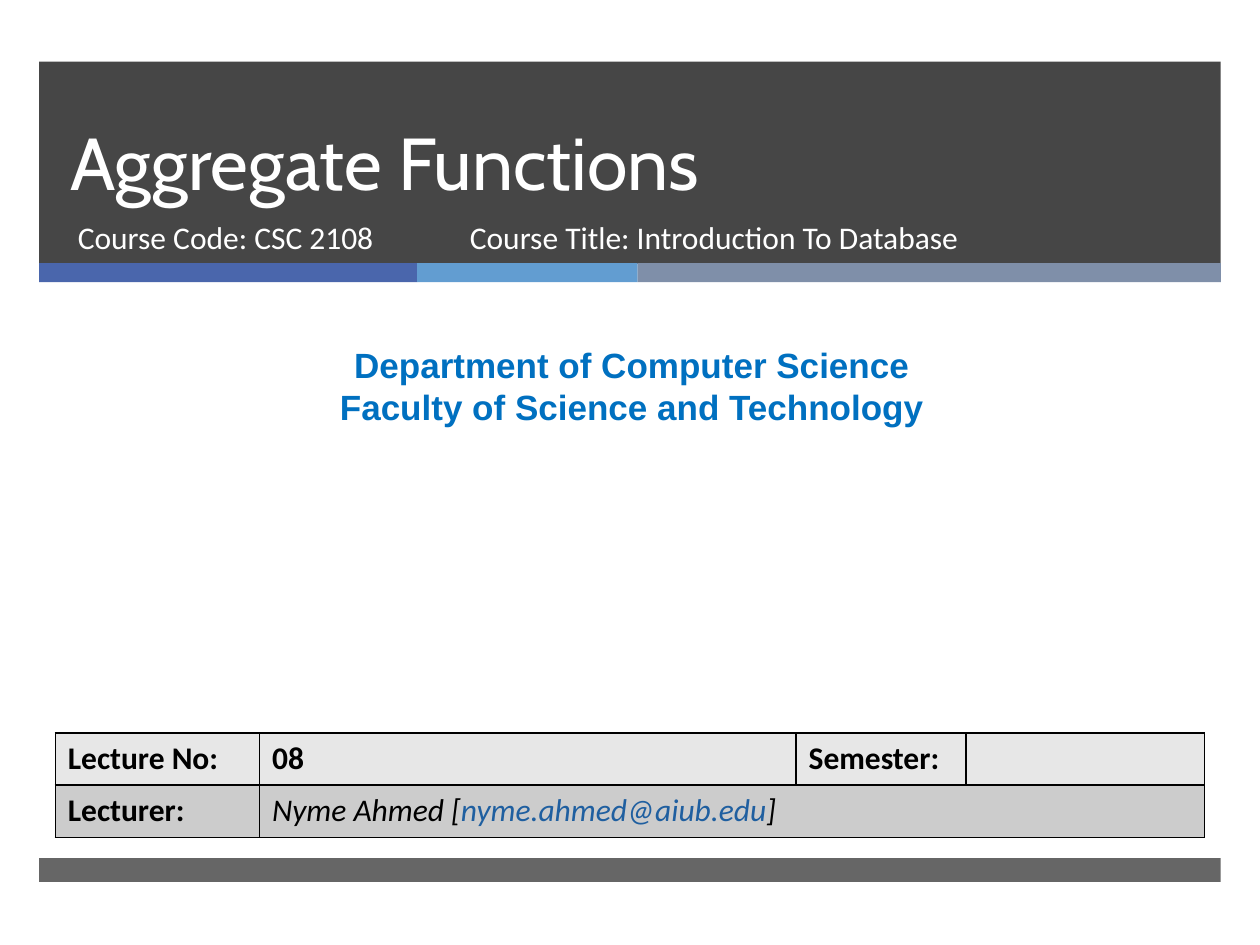
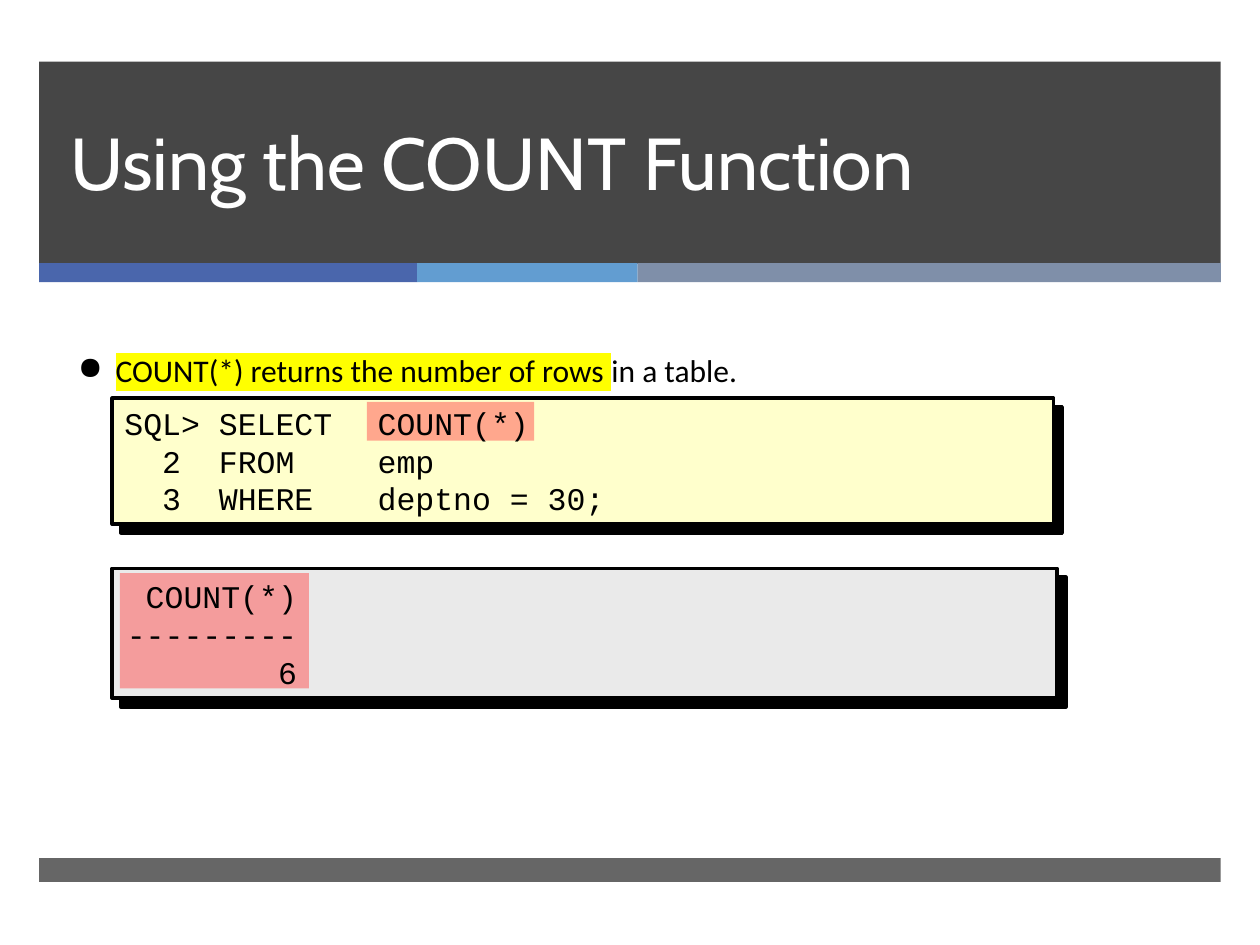
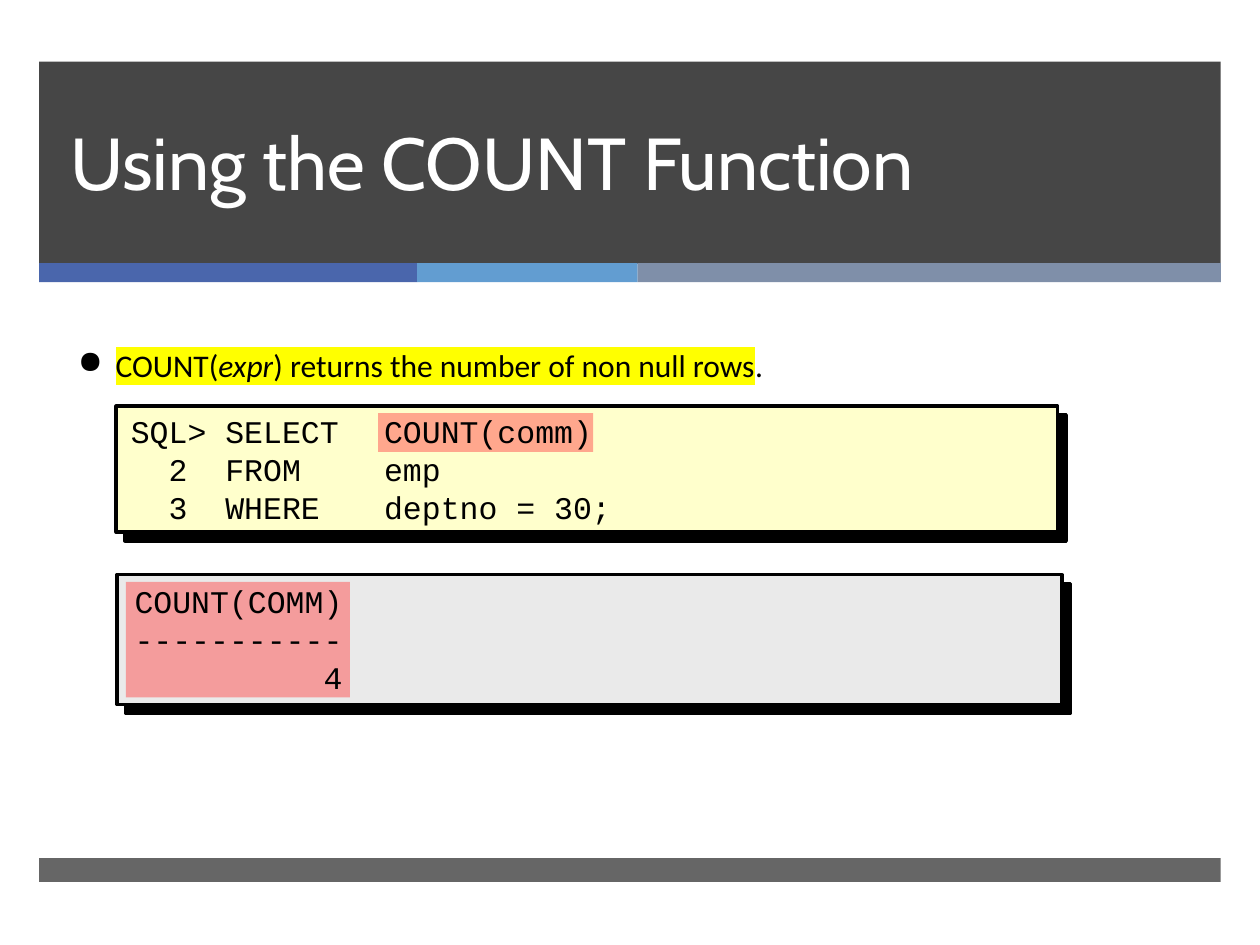
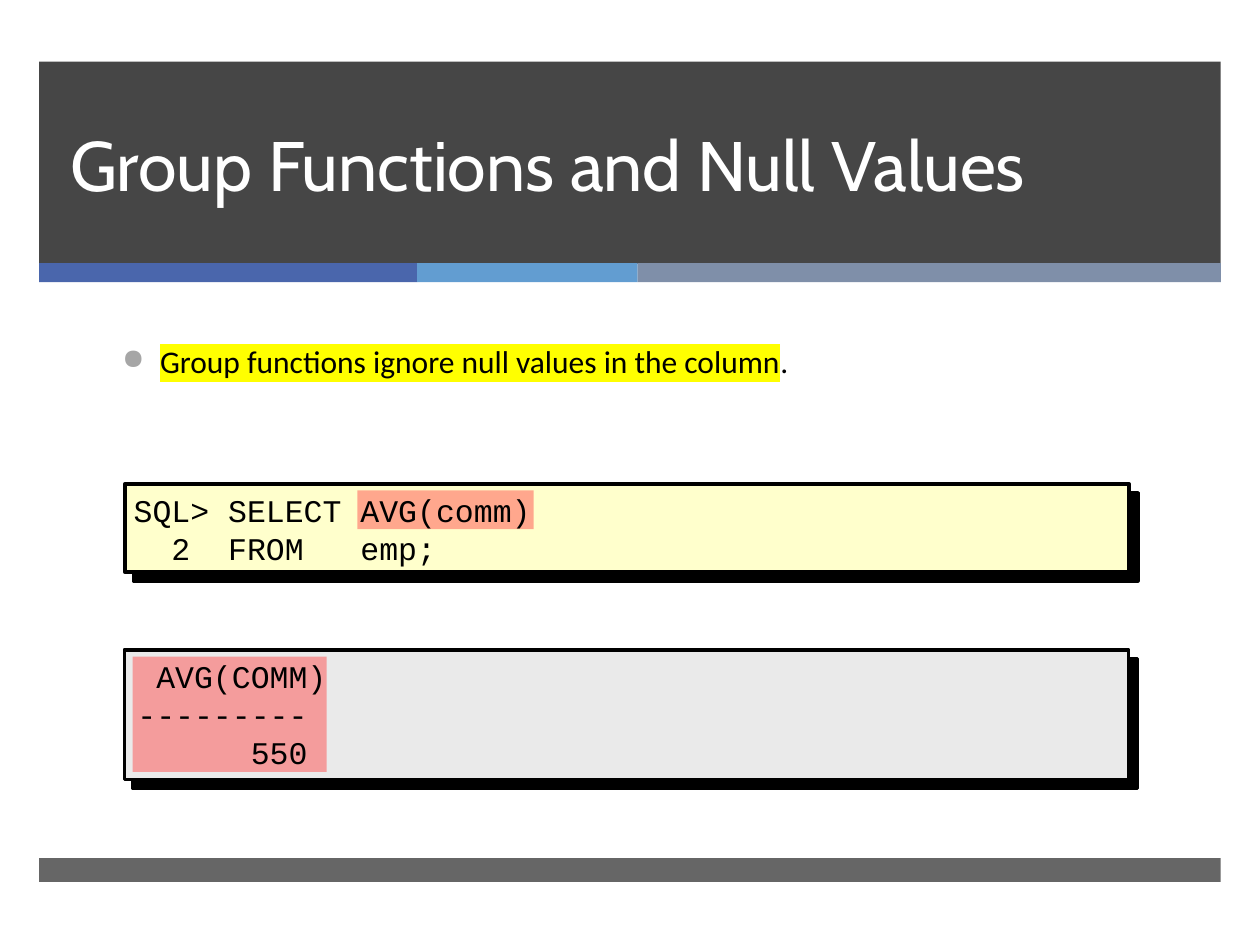
import pptx
import pptx.dml.color
import pptx.enum.shapes
import pptx.enum.text
import pptx.oxml
import pptx.oxml.ns
import pptx.util

Pt = pptx.util.Pt
RGBColor = pptx.dml.color.RGBColor
Align = pptx.enum.text.PP_ALIGN
Anchor = pptx.enum.text.MSO_ANCHOR
qn = pptx.oxml.ns.qn

CHARCOAL = RGBColor(0x26, 0x26, 0x26)
BLACK = RGBColor(0, 0, 0)
WHITE = RGBColor(255, 255, 255)
NAVY = RGBColor(0x4A, 0x66, 0xAC)
SKY = RGBColor(0x62, 0x9D, 0xD1)
SLATE = RGBColor(0x7F, 0x8F, 0xA9)
HEADING_BLUE = RGBColor(0x00, 0x70, 0xC0)
MAIL_BLUE = RGBColor(0x1F, 0x5F, 0xA0)
CREAM = RGBColor(0xFF, 0xFF, 0xCC)
PALE_GRAY = RGBColor(0xEA, 0xEA, 0xEA)
CORAL = RGBColor(0xFF, 0x50, 0x50)
YELLOW = RGBColor(0xFF, 0xFF, 0x00)
BULLET_GRAY = RGBColor(0xA6, 0xA6, 0xA6)
ROW_FILLS = [RGBColor(0xE7, 0xE7, 0xE7), RGBColor(0xCC, 0xCC, 0xCC)]

# Shared frame, in points
BAND_LEFT, BAND_WIDTH = 22.4, 675.2
BAND_TOP, BAND_HEIGHT = 35.2, 115.6
STRIPE_TOP, STRIPE_HEIGHT = 150.4, 10.8
STRIPES = [(216, NAVY), (126, SKY), (333.2, SLATE)]
FOOTER_TOP, FOOTER_HEIGHT = 490.3, 13.7
TITLE_PLACE = (33.1, 35.2, 615, 85.8)
CODE_TABS = [54, 144.7]

# Content: a span is (text, marks, colour); marks are b bold, i italic, h highlight
COVER_TITLE = "Aggregate Functions"
COURSE_LINES = [
    ("Course Code: CSC 2108", (37.4, 121, 219.6, 38)),
    ("Course Title: Introduction To Database", (261.4, 121, 327.6, 38)),
]
DEPARTMENT = ["Department of Computer Science", "Faculty of Science and Technology"]
LECTURE_ROWS = [
    [[("Lecture No:", "b", BLACK)], [("08", "b", BLACK)], [("Semester:", "b", BLACK)], []],
    [[("Lecturer:", "b", BLACK)],
     [("Nyme Ahmed [", "i", BLACK), ("nyme.ahmed@aiub.edu", "i", MAIL_BLUE), ("]", "i", BLACK)]],
]
LECTURE_COLUMNS = [116.7, 306.6, 97.2, 136.1]
LECTURE_ROW_HEIGHT = 29.8

QUERY_PAGES = [
    {
        "title": "Using the COUNT Function", "title_size": 42,
        "bullet": [("COUNT(*) returns the number of rows ", "h", BLACK), ("in a table.", "", BLACK)],
        "bullet_place": (37.4, 197.3, 492, 29), "bullet_color": None,
        "code": ["SQL> SELECT\tCOUNT(*)", "  2  FROM\temp", "  3  WHERE\tdeptno = 30;"],
        "code_panel": (64.1, 227.5, 538, 72), "code_mark": (209.6, 229.6, 95.6, 22.2),
        "code_place": (64, 226.1, 540, 74.2),
        "result": [" COUNT(*)", "---------", "        6"],
        "result_panel": (64.1, 324.8, 540, 74.2), "result_mark": (68.6, 327.5, 108, 66),
        "result_place": (65.4, 326.2, 538, 72),
    },
    {
        "title": "Using the COUNT Function", "title_size": 42,
        "bullet": [("COUNT(", "h", BLACK), ("expr", "hi", BLACK),
                   (") returns the number of non null rows", "h", BLACK), (".", "", BLACK)],
        "bullet_place": (37.4, 193.9, 588, 29), "bullet_color": None,
        "code": ["SQL> SELECT\tCOUNT(comm)", "  2  FROM\temp", "  3  WHERE\tdeptno = 30;"],
        "code_panel": (66.4, 232.1, 538, 72), "code_mark": (216, 236.1, 123, 22.2),
        "code_place": (67.7, 230.9, 540, 74.2),
        "result": ["COUNT(COMM)", "-----------", "          4"],
        "result_panel": (66.8, 328.4, 540, 74.2), "result_mark": (72, 332.5, 128, 66),
        "result_place": (69.8, 329.1, 538, 72),
    },
    {
        "title": "Group Functions and Null Values", "title_size": 40,
        "bullet": [("Group functions ignore null values in the column", "h", BLACK),
                   (".", "", BLACK)],
        "bullet_place": (62.8, 192, 582, 71), "bullet_color": BULLET_GRAY,
        "code": ["SQL> SELECT AVG(comm)", "  2  FROM   emp;"],
        "code_panel": (71.3, 276.6, 574, 50.4), "code_mark": (204.2, 280.2, 100.8, 22.2),
        "code_place": (69.3, 275.8, 576, 52.6),
        "result": [" AVG(COMM)", "---------", "      550"],
        "result_panel": (71, 371.4, 574, 74.2), "result_mark": (75.8, 375.2, 110.8, 66),
        "result_place": (71.4, 372.2, 572, 72),
    },
]


def points(place):
    return [Pt(value) for value in place]


def add_element(parent, tag, **attributes):
    child = parent.makeelement(qn(tag), attributes)
    parent.append(child)
    return child


def add_block(page, place, color, alpha=100):
    """Add a plain rectangle without outline; alpha is opacity in percent."""
    block = page.shapes.add_shape(pptx.enum.shapes.MSO_SHAPE.RECTANGLE, *points(place))
    block.shadow.inherit = False
    block.fill.solid()
    block.fill.fore_color.rgb = color
    block.line.fill.background()
    if alpha < 100:
        tint = next(block.element.spPr.iter(qn("a:srgbClr")))
        add_element(tint, "a:alpha", val=str(alpha * 1000))
    return block


def add_panel(page, place, color):
    """Add an outlined rectangle with a hard black shadow to the lower right."""
    panel = add_block(page, place, color)
    panel.line.color.rgb = BLACK
    panel.line.width = Pt(2)
    effects = panel.element.spPr.find(qn("a:effectLst"))
    shadow = add_element(effects, "a:outerShdw", dist=str(Pt(7.1)), dir="2700000",
                         algn="ctr", rotWithShape="0")
    add_element(shadow, "a:srgbClr", val=str(BLACK))


def style(span, font, size, color, marks=""):
    span.font.size = Pt(size)
    span.font.color.rgb = color
    span.font.bold = "b" in marks
    span.font.italic = "i" in marks
    if "h" in marks:
        highlight = add_element(span.font._element, "a:highlight")
        add_element(highlight, "a:srgbClr", val=str(YELLOW))
    span.font.name = font


def write_spans(para, spans):
    for text, marks, color in spans:
        span = para.add_run()
        span.text = text
        style(span, "Calibri", 18, color, marks)


def add_text(page, place, lines, font, size, color, marks="", anchor=Anchor.TOP):
    box = page.shapes.add_textbox(*points(place))
    frame = box.text_frame
    frame.word_wrap = True
    frame.vertical_anchor = anchor
    frame.text = "\n".join(lines)
    for para in frame.paragraphs:
        for span in para.runs:
            style(span, font, size, color, marks)
    return frame


def add_bullet(page, place, spans, bullet_color):
    para = add_text(page, place, [], "Calibri", 18, BLACK).paragraphs[0]
    properties = para._p.get_or_add_pPr()
    properties.set("marL", str(Pt(21.6)))
    properties.set("indent", str(Pt(-21.6)))
    if bullet_color is not None:
        add_element(add_element(properties, "a:buClr"), "a:srgbClr", val=str(bullet_color))
        add_element(properties, "a:buSzPct", val="90000")
    add_element(properties, "a:buChar", char="●")
    write_spans(para, spans)


def add_code(page, place, lines):
    frame = add_text(page, place, lines, "Courier New", 18, BLACK, anchor=Anchor.MIDDLE)
    for para in frame.paragraphs:
        tabs = add_element(para._p.get_or_add_pPr(), "a:tabLst")
        for stop in CODE_TABS:
            add_element(tabs, "a:tab", pos=str(Pt(stop)), algn="l")


def add_page(deck, title, title_size=42):
    """Add a slide with the title band, stripes and footer bar."""
    page = deck.slides.add_slide(deck.slide_layouts[6])
    add_block(page, (BAND_LEFT, BAND_TOP, BAND_WIDTH, BAND_HEIGHT), CHARCOAL, 85)
    left = BAND_LEFT
    for width, color in STRIPES:
        add_block(page, (left, STRIPE_TOP, width, STRIPE_HEIGHT), color)
        left += width
    add_block(page, (BAND_LEFT, FOOTER_TOP, BAND_WIDTH, FOOTER_HEIGHT), CHARCOAL, 70)
    frame = add_text(page, TITLE_PLACE, [title], "Cabin", title_size, WHITE, anchor=Anchor.BOTTOM)
    frame.paragraphs[0].line_spacing = Pt(46)
    return page


def add_borders(cell):
    properties = cell._tc.get_or_add_tcPr()
    for side in ("a:lnL", "a:lnR", "a:lnT", "a:lnB"):
        line = add_element(properties, side, w=str(Pt(1)))
        add_element(add_element(line, "a:solidFill"), "a:srgbClr", val=str(BLACK))


def add_lecture_table(page):
    place = (31.6, 418.9, sum(LECTURE_COLUMNS), LECTURE_ROW_HEIGHT * len(LECTURE_ROWS))
    table = page.shapes.add_table(len(LECTURE_ROWS), len(LECTURE_COLUMNS), *points(place)).table
    for column, width in zip(table.columns, LECTURE_COLUMNS):
        column.width = Pt(width)
    for row, fill, contents in zip(table.rows, ROW_FILLS, LECTURE_ROWS):
        row.height = Pt(LECTURE_ROW_HEIGHT)
        for cell in row.cells:
            add_borders(cell)
            cell.fill.solid()
            cell.fill.fore_color.rgb = fill
        for cell, spans in zip(row.cells, contents):
            write_spans(cell.text_frame.paragraphs[0], spans)
    table.cell(1, 1).merge(table.cell(1, 3))


def build_cover(deck):
    page = add_page(deck, COVER_TITLE)
    for text, place in COURSE_LINES:
        add_text(page, place, [text], "Calibri", 18, WHITE)
    frame = add_text(page, (5.8, 193, 710.6, 55.4), DEPARTMENT, "Arial", 20, HEADING_BLUE, "b")
    for para in frame.paragraphs:
        para.alignment = Align.CENTER
    add_lecture_table(page)


def build_query_page(deck, content):
    page = add_page(deck, content["title"], content["title_size"])
    add_bullet(page, content["bullet_place"], content["bullet"], content["bullet_color"])
    for part, color in (("code", CREAM), ("result", PALE_GRAY)):
        add_panel(page, content[part + "_panel"], color)
        add_block(page, content[part + "_mark"], CORAL, 50)
    add_code(page, content["code_place"], content["code"])
    add_text(page, content["result_place"], content["result"], "Courier New", 18, BLACK)


def main():
    deck = pptx.Presentation()
    deck.slide_width, deck.slide_height = Pt(720), Pt(540)
    build_cover(deck)
    for content in QUERY_PAGES:
        build_query_page(deck, content)
    deck.save("out.pptx")


if __name__ == "__main__":
    main()
